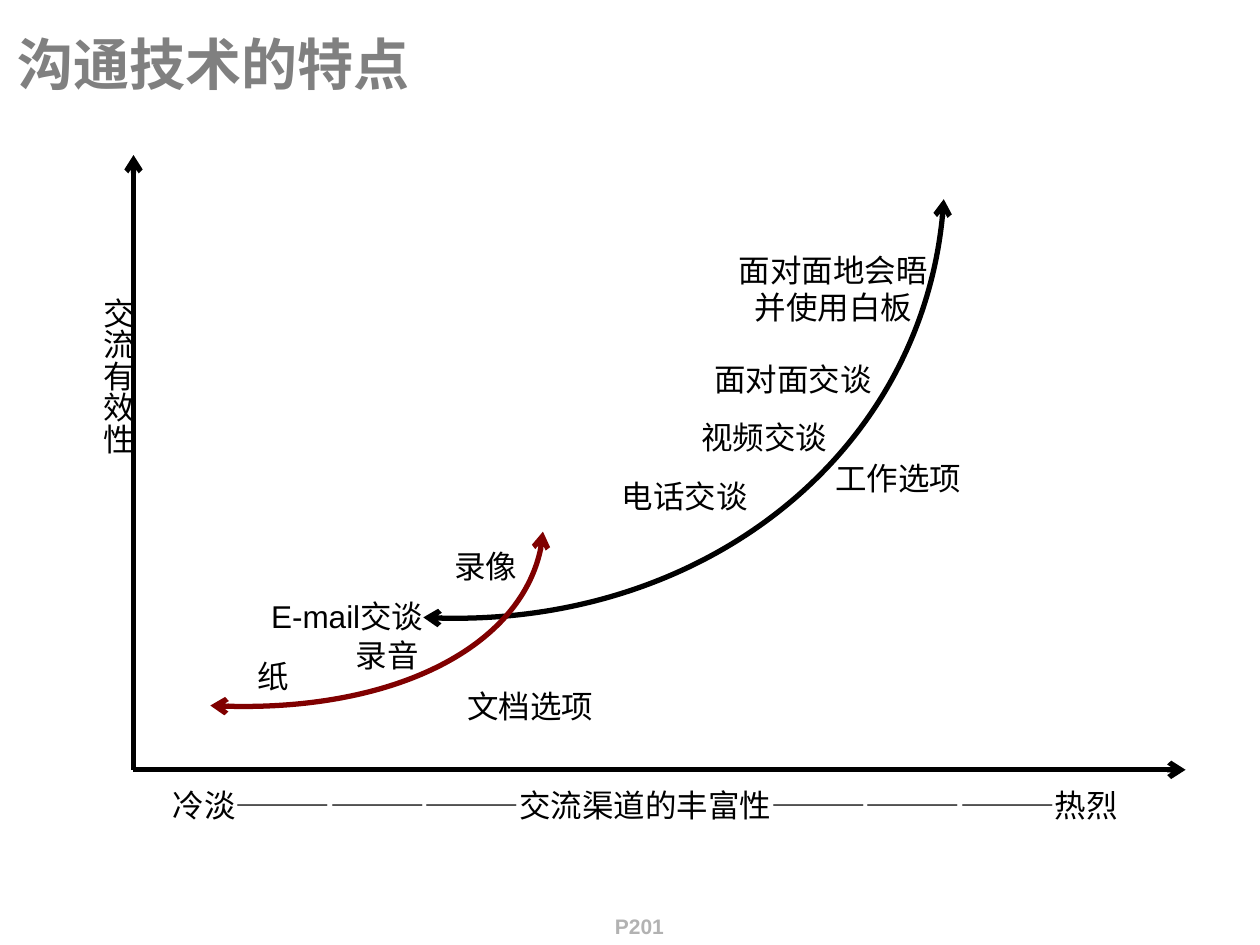
"""Build a slide charting communication technologies by richness and effectiveness."""
from lxml.etree import SubElement
from pptx import Presentation
from pptx.dml.color import RGBColor
from pptx.enum.shapes import MSO_CONNECTOR
from pptx.enum.text import MSO_ANCHOR, PP_ALIGN
from pptx.oxml.ns import qn
from pptx.util import Pt

COLORS = {
    "ink": "000000",
    "title": "808080",
    "page": "B2B2B2",
    "document": "800000",
}
LABEL_HEIGHT = 28.8
ORIGIN = (76.3, 439.9)
AXIS_ENDS = [(677.5, 439.9), (76.3, 88.6)]
CURVES = [
    ("ink", [(241.9, 352.8), (398.2, 361.4), (531.4, 254.2), (539.3, 113.8)]),
    ("document", [(120.2, 403.2), (221.8, 409), (306.7, 364.3), (310.3, 303.8)]),
]
LABELS = [
    ("冷淡—————————交流渠道的丰富性—————————热烈", 82.1, 445.7, 573.1),
    ("纸", 139, 372.2, 33.8),
    ("录音", 195.8, 360, 51.1),
    ("录像", 252, 308.9, 51.1),
    ("E-mail交谈", 139, 337.7, 118.8),
    ("电话交谈", 331.9, 269.3, 118.8),
    ("视频交谈", 377.3, 235.4, 118.8),
    ("面对面交谈", 393.8, 202.3, 118.8),
    ("文档选项", 252, 388.8, 102.2),
    ("工作选项", 462.2, 258.5, 102.2),
]


def add_label(slide, text, left, top, width, height=LABEL_HEIGHT,
              size=18, color="ink", bold=False, align=PP_ALIGN.CENTER):
    """Add a wrapped text box, one paragraph per line, and return its frame."""
    frame = slide.shapes.add_textbox(Pt(left), Pt(top), Pt(width), Pt(height)).text_frame
    frame.word_wrap = True
    frame.text = text
    for paragraph in frame.paragraphs:
        paragraph.alignment = align
        paragraph.font.name = "Arial"
        paragraph.font.size = Pt(size)
        paragraph.font.bold = bold
        paragraph.font.color.rgb = RGBColor.from_string(COLORS[color])
    return frame


def add_vertical_label(slide, text, left, top, width, height):
    """Add a label whose characters stack from top to bottom."""
    frame = add_label(slide, text, left, top, width, height)
    frame.margin_left = frame.margin_right = Pt(3.6)
    frame.margin_top = frame.margin_bottom = Pt(7.2)
    frame._txBody.bodyPr.set("vert", "eaVert")


def style_arrow(stroke, color, ends):
    """Give a line or curve its colour, weight and arrowheads."""
    stroke.line.color.rgb = RGBColor.from_string(COLORS[color])
    stroke.line.width = Pt(3)
    outline = stroke._element.spPr.find(qn("a:ln"))
    for end in ends:
        SubElement(outline, qn(f"a:{end}"), type="arrow")


def add_axis(slide, end):
    """Draw an axis from the origin to its arrow tip."""
    axis = slide.shapes.add_connector(
        MSO_CONNECTOR.STRAIGHT, *map(Pt, ORIGIN), *map(Pt, end))
    style_arrow(axis, "ink", ["tailEnd"])
    SubElement(axis._element.spPr, qn("a:effectLst"))


def add_curve(slide, color, points):
    """Draw a cubic curve with an arrow at both ends."""
    start, *controls = [(Pt(x), Pt(y)) for x, y in points]
    builder = slide.shapes.build_freeform(*start)
    builder.add_line_segments(controls, close=False)
    curve = builder.convert_to_shape()
    outline_path = curve._element.spPr.find(".//" + qn("a:path"))
    bezier = SubElement(outline_path, qn("a:cubicBezTo"))
    for segment in outline_path.findall(qn("a:lnTo")):
        bezier.append(segment[0])
        outline_path.remove(segment)
    curve.fill.background()
    style_arrow(curve, color, ["headEnd", "tailEnd"])
    curve.shadow.inherit = False


def main():
    """Assemble and save the slide."""
    presentation = Presentation()
    presentation.slide_width, presentation.slide_height = Pt(720), Pt(540)
    slide = presentation.slides.add_slide(presentation.slide_layouts[6])

    add_label(slide, "P201", 342.7, 518.4, 45.4, 23.8, size=12, color="page", bold=True)
    title = add_label(slide, "沟通技术的特点", 2.9, 12.2, 717.1, 47.5,
                      size=32, color="title", bold=True, align=PP_ALIGN.LEFT)
    title.vertical_anchor = MSO_ANCHOR.MIDDLE

    for end in AXIS_ENDS:
        add_axis(slide, end)
    add_vertical_label(slide, "交流有效性", 46.1, 162.7, 36, 164.2)
    for color, points in CURVES:
        add_curve(slide, color, points)
    for label in LABELS:
        add_label(slide, *label)
    add_label(slide, "面对面地会晤\n并使用白板", 405.4, 139.7, 141.8, 50.4)

    presentation.save("out.pptx")


if __name__ == "__main__":
    main()
